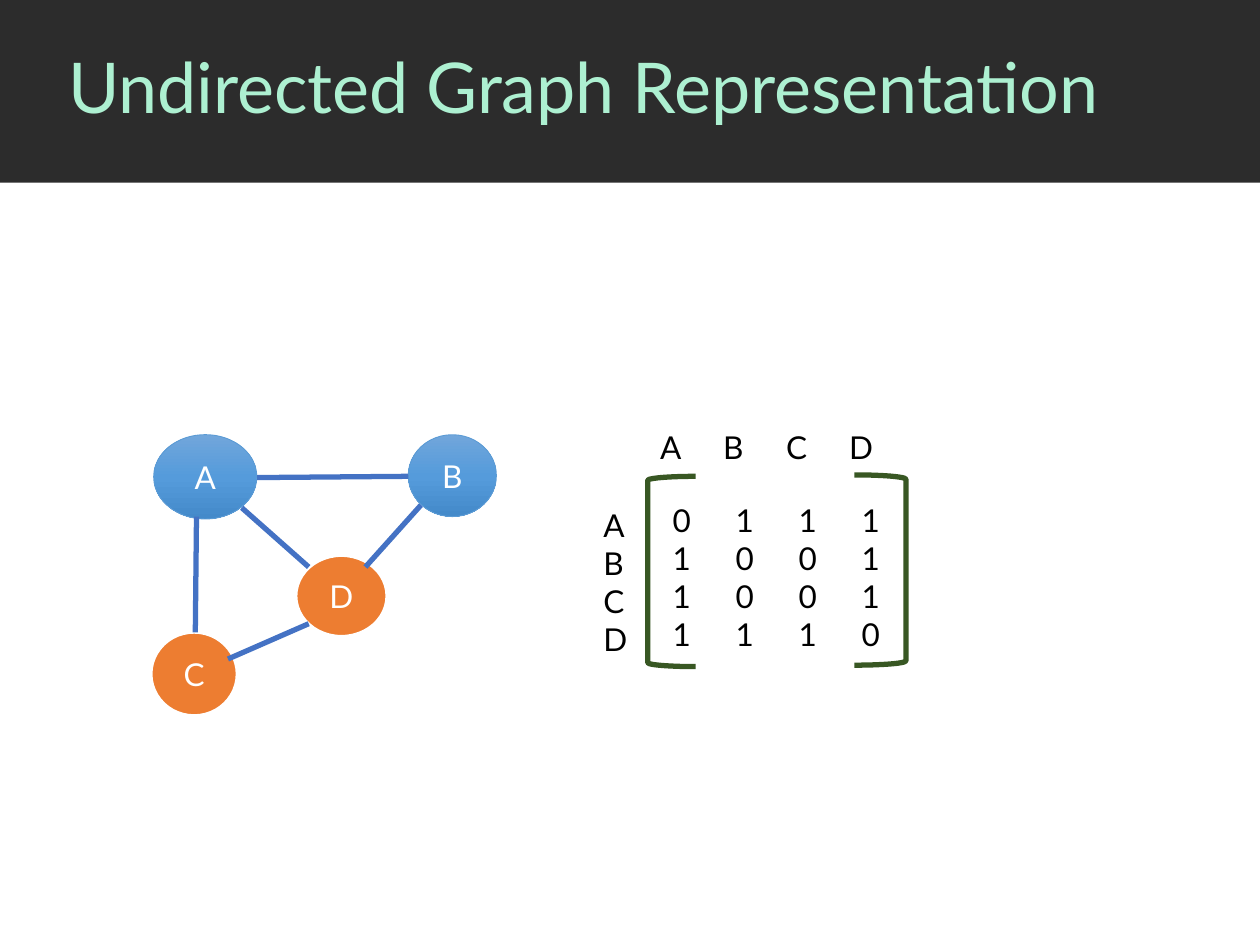
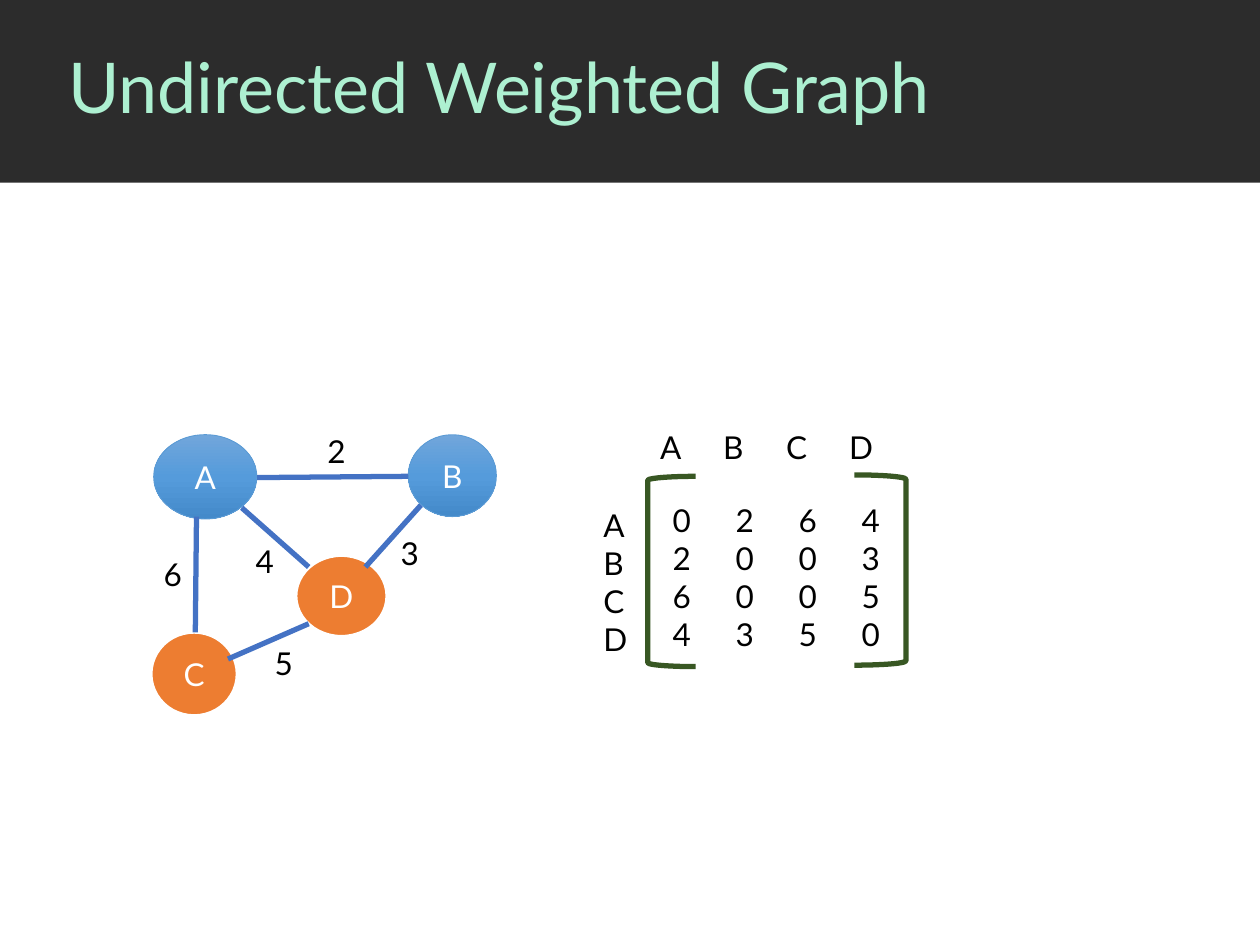
from copy import deepcopy

from lxml import etree
from pptx import Presentation
from pptx.dml.color import RGBColor
from pptx.enum.shapes import MSO_CONNECTOR, MSO_SHAPE
from pptx.enum.text import MSO_ANCHOR, PP_ALIGN
from pptx.oxml.ns import qn
from pptx.util import Pt

OVAL, RECT, BRACKET = MSO_SHAPE.OVAL, MSO_SHAPE.RECTANGLE, MSO_SHAPE.LEFT_BRACKET
STRAIGHT = MSO_CONNECTOR.STRAIGHT
LEFT, CENTER = PP_ALIGN.LEFT, PP_ALIGN.CENTER
MIDDLE = MSO_ANCHOR.MIDDLE

FONT = "Lato"
COLORS = {
    "band": "2C2C2C", "title": "ADF0D1", "white": "FFFFFF", "black": "000000",
    "orange": "ED7D31", "rim": "5B9BD5", "edge": "4472C4", "bracket": "385723",
    "light": "71A6DB", "mid": "559BDB", "deep": "448ACA",
}
GRADE = [(0, "light"), (0.5, "mid"), (1, "deep")]
TAB = 36

# Nodes: left, top, width, height, and whether the fill is graded
NODES = {
    "D": (169.2, 317.5, 51.8, 46.1, False),
    "B": (233.3, 248.4, 50.4, 46.8, True),
    "C": (86.4, 361.4, 49, 47.5, False),
    "A": (87.8, 248.4, 59, 48.2, True),
}
NAMES = sorted(NODES)

# Edges: line ends, then left and top of the weight label
EDGES = {
    "AC": ((112.3, 295.2, 111.6, 361.4), (86.4, 313.9)),
    "AB": ((233.3, 272.2, 146.9, 272.9), (180, 243.4)),
    "AD": ((138.2, 290.2, 176.4, 324), (139, 306)),
    "CD": ((176.4, 356.4, 130.3, 376.6), (149.8, 364.3)),
    "BD": ((240.5, 288.7, 208.8, 324), (221.8, 301.7)),
}
WEIGHTS = {"AB": 2, "BD": 3, "AD": 4, "AC": 6, "CD": 5}


def paint(color):
    return RGBColor.from_string(COLORS[color])


def add_run(para, text, color, size=18):
    run = para.add_run()
    run.text = text
    run.font.name = FONT
    run.font.size = Pt(size)
    run.font.color.rgb = paint(color)


def add_form(slide, kind, box, fill=None, line=None, width=0):
    form = slide.shapes.add_shape(kind, *map(Pt, box))
    form.shadow.inherit = False
    if fill:
        form.fill.solid()
        form.fill.fore_color.rgb = paint(fill)
    else:
        form.fill.background()
    if line:
        form.line.color.rgb = paint(line)
        form.line.width = Pt(width)
    else:
        form.line.fill.background()
    return form


def grade(form):
    """Fill a shape with the three-stop blue gradient, top to bottom."""
    form.fill.gradient()
    form.fill.gradient_angle = 270
    stops = form.element.spPr.find(qn("a:gradFill")).find(qn("a:gsLst"))
    stops.insert(1, deepcopy(stops[0]))
    for stop, (place, color) in zip(form.fill.gradient_stops, GRADE):
        stop.position = place
        stop.color.rgb = paint(color)


def add_text(slide, box, lines):
    """Add a text box with one paragraph a line and even tab stops."""
    frame = slide.shapes.add_textbox(*map(Pt, box)).text_frame
    frame.word_wrap = True
    for i, line in enumerate(lines):
        para = frame.paragraphs[0] if i == 0 else frame.add_paragraph()
        if "\t" in line:
            tabs = etree.SubElement(para._p.get_or_add_pPr(), qn("a:tabLst"))
            for n in range(1, len(NAMES)):
                etree.SubElement(tabs, qn("a:tab"), pos=str(Pt(TAB * n)), algn="l")
        add_run(para, line, "black")


def add_node(slide, name):
    *box, graded = NODES[name]
    rim = ("rim", 0.5) if graded else ("white", 1.5)
    node = add_form(slide, OVAL, box, "orange", *rim)
    if graded:
        grade(node)
    frame = node.text_frame
    frame.vertical_anchor = MIDDLE
    frame.paragraphs[0].alignment = CENTER
    add_run(frame.paragraphs[0], name, "white")


def add_edge(slide, ends):
    edge = slide.shapes.add_connector(STRAIGHT, *map(Pt, ends))
    edge.line.color.rgb = paint("edge")
    edge.line.width = Pt(3)
    etree.SubElement(edge.element.spPr, qn("a:effectLst"))


def add_graph(slide):
    for name in NODES:
        add_node(slide, name)
    for ends, _ in EDGES.values():
        add_edge(slide, ends)


def add_matrix(slide, weights):
    """Draw the adjacency matrix that follows from the edge weights."""
    add_form(slide, BRACKET, (370.1, 272.2, 27.4, 108.7), None, "bracket", 3)
    right = add_form(slide, BRACKET, (488.2, 271.4, 29.5, 108.7), None, "bracket", 3)
    right.element.spPr.get_or_add_xfrm().set("flipH", "1")
    rows = [
        "\t".join(str(weights.get("".join(sorted(a + b)), 0)) for b in NAMES)
        for a in NAMES
    ]
    add_text(slide, (377.3, 283, 151.2, 93.6), rows)
    add_text(slide, (370.1, 241.2, 149.8, 28.8), ["\t".join(NAMES)])
    add_text(slide, (337.7, 285.8, 31, 94.3), NAMES)


def add_labels(slide, weights):
    for pair, weight in weights.items():
        add_text(slide, (*EDGES[pair][1], 20.9, 28.8), [str(weight)])


def add_slide(deck, layout, title):
    slide = deck.slides.add_slide(layout)
    frame = slide.shapes.title.text_frame
    frame.vertical_anchor = MIDDLE
    para = frame.paragraphs[0]
    para.alignment = LEFT
    para.line_spacing = 0.9
    add_run(para, title, "title", 40)
    return slide


def set_layout(layout, slide):
    """Place the title and move the dark band behind it on the layout."""
    title = layout.placeholders[0]
    title.left, title.top, title.width, title.height = map(Pt, (31.7, 0, 688.3, 103.7))
    band = add_form(slide, RECT, (0, 0, 720, 104.4), "band").element
    band.nvSpPr.cNvPr.set("id", "99")
    layout.shapes.element.insert(2, band)


def main():
    deck = Presentation()
    deck.slide_width, deck.slide_height = Pt(720), Pt(540)
    layout = deck.slide_layouts[5]

    # Plain graph: each edge counts as one
    plain = add_slide(deck, layout, "Undirected Graph Representation")
    set_layout(layout, plain)
    add_graph(plain)
    add_matrix(plain, dict.fromkeys(EDGES, 1))

    # Weighted graph
    heavy = add_slide(deck, layout, "Undirected Weighted Graph")
    add_graph(heavy)
    add_matrix(heavy, WEIGHTS)
    add_labels(heavy, WEIGHTS)

    deck.save("out.pptx")


if __name__ == "__main__":
    main()
